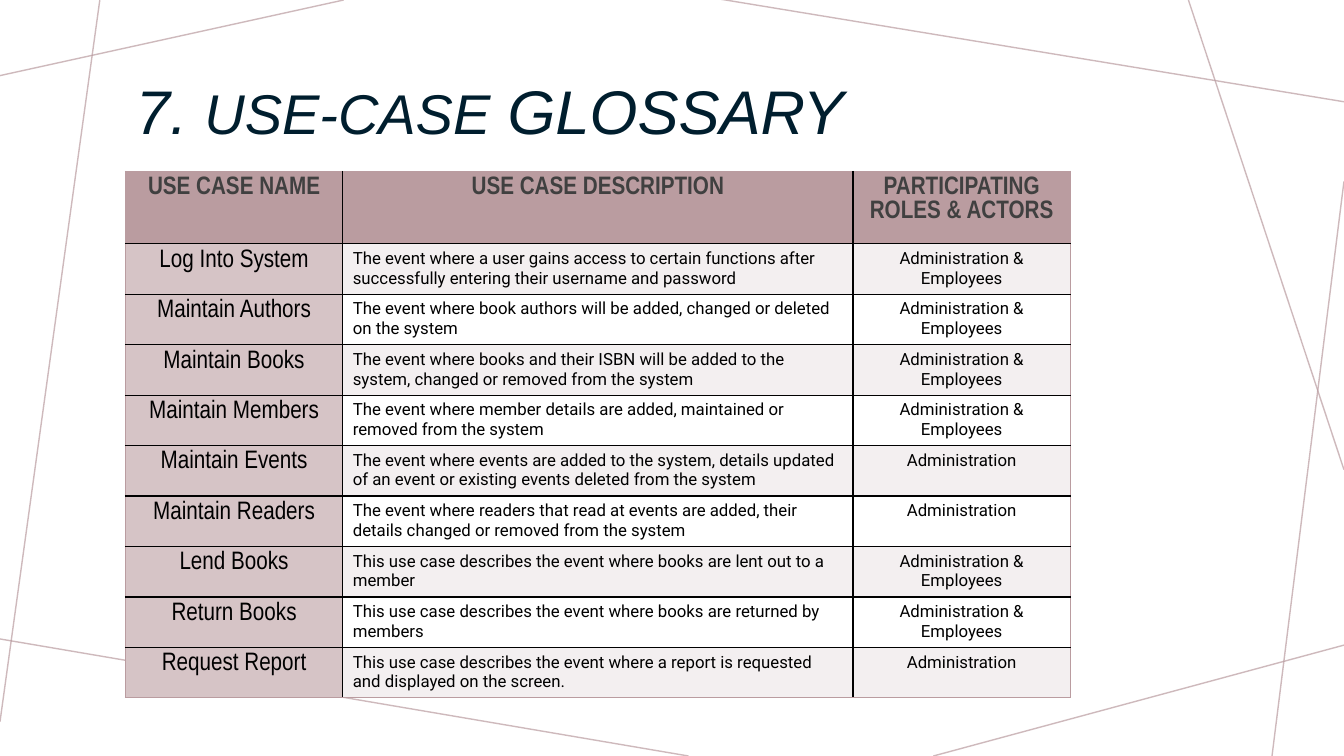
from dataclasses import dataclass

from lxml import etree
from pptx import Presentation
from pptx.dml import color
from pptx.enum import shapes, text
from pptx.oxml import ns
from pptx.util import Pt


@dataclass(frozen=True)
class Theme:
    rose: str = "BA9CA0"
    rose_mid: str = "D6C4C6"
    rose_pale: str = "F3EFF0"
    white: str = "FFFFFF"
    black: str = "000000"
    heading: str = "404040"
    title: str = "001E2E"
    title_font: str = "Arial"
    name_font: str = "Arial Narrow"
    body_font: str = "Roboto"
    title_size: int = 44
    title_small_size: int = 40
    name_size: int = 18
    body_size: int = 12
    line_width: int = 1
    line_opacity: int = 70


THEME = Theme()

BACKGROUND_LINES = [
    (245.5, 0, 0, 54),
    (71.3, 0, 0, 515.5),
    (491.8, 540, -3.6, 455.8),
    (960, 460.8, 666.7, 540),
    (960, 129.6, 908.6, 540),
    (960, 335.5, 848.9, 0),
    (960, 72.7, 514.1, -0.7),
]

TITLE_RUNS = [
    ("7. ", THEME.title_size),
    ("USE-CASE", THEME.title_small_size),
    (" GLOSSARY", THEME.title_size),
]

HEADINGS = ("USE CASE NAME", "USE CASE DESCRIPTION", "PARTICIPATING ROLES & ACTORS")
EVERYONE = "Administration & Employees"
ADMINISTRATION = "Administration"
USE_CASES = [
    ("Log Into System",
     "The event where a user gains access to certain functions after successfully entering their username and password",
     EVERYONE),
    ("Maintain Authors",
     "The event where book authors will be added, changed or deleted on the system",
     EVERYONE),
    ("Maintain Books",
     "The event where books and their ISBN will be added to the system, changed or removed from the system",
     EVERYONE),
    ("Maintain Members",
     "The event where member details are added, maintained or removed from the system",
     "Administration &\nEmployees"),
    ("Maintain Events",
     "The event where events are added to the system, details updated of an event or existing events deleted from the system",
     ADMINISTRATION),
    ("Maintain Readers",
     "The event where readers that read at events are added, their details changed or removed from the system",
     ADMINISTRATION),
    ("Lend Books",
     "This use case describes the event where books are lent out to a member",
     EVERYONE),
    ("Return Books",
     "This use case describes the event where books are returned by members",
     EVERYONE),
    ("Request Report",
     "This use case describes the event where a report is requested and displayed on the screen.",
     ADMINISTRATION),
]

COLUMN_SHARES = (0.23, 0.54, 0.23)
HEADER_HEIGHT = 51.8
ROW_HEIGHT = 31.7


def rgb(value):
    return color.RGBColor.from_string(value)


def style_font(font, name, size, value, bold=False, italic=False):
    font.name = name
    font.size = Pt(size)
    font.color.rgb = rgb(value)
    font.bold = bold
    font.italic = italic


def add_background_lines(slide):
    for x1, y1, x2, y2 in BACKGROUND_LINES:
        line = slide.shapes.add_connector(
            shapes.MSO_CONNECTOR.STRAIGHT, Pt(x1), Pt(y1), Pt(x2), Pt(y2))
        line.line.width = Pt(THEME.line_width)
        line.line.color.rgb = rgb(THEME.rose)
        properties = line._element.spPr
        fill_color = properties.find(".//" + ns.qn("a:srgbClr"))
        etree.SubElement(fill_color, ns.qn("a:alpha"), val=str(THEME.line_opacity * 1000))
        etree.SubElement(properties, ns.qn("a:effectLst"))


def add_title(slide, left, top, width, height):
    box = slide.shapes.add_textbox(Pt(left), Pt(top), Pt(width), Pt(height))
    frame = box.text_frame
    frame.word_wrap = True
    frame.vertical_anchor = text.MSO_ANCHOR.MIDDLE
    paragraph = frame.paragraphs[0]
    paragraph.line_spacing = 0.9
    for words, size in TITLE_RUNS:
        run = paragraph.add_run()
        run.text = words
        style_font(run.font, THEME.title_font, size, THEME.title, italic=True)


def set_borders(cell, at_edges):
    properties = cell._tc.get_or_add_tcPr()
    for side, at_edge in zip("LRTB", at_edges):
        border = etree.SubElement(
            properties, ns.qn(f"a:ln{side}"), w=str(Pt(THEME.line_width)))
        fill = etree.SubElement(border, ns.qn("a:solidFill"))
        etree.SubElement(
            fill, ns.qn("a:srgbClr"), val=THEME.rose if at_edge else THEME.black)


def cell_fill(row, column):
    if row == 0:
        return THEME.rose
    if column == 0:
        return THEME.rose_mid
    return THEME.rose_pale if row % 2 else THEME.white


def style_cell(cell, row, column):
    cell.fill.solid()
    cell.fill.fore_color.rgb = rgb(cell_fill(row, column))
    is_header = row == 0
    is_name = is_header or column == 0
    for paragraph in cell.text_frame.paragraphs:
        is_description = column == 1 and not is_header
        paragraph.alignment = text.PP_ALIGN.LEFT if is_description else text.PP_ALIGN.CENTER
        for run in paragraph.runs:
            style_font(
                run.font,
                THEME.name_font if is_name else THEME.body_font,
                THEME.name_size if is_name else THEME.body_size,
                THEME.heading if is_header else THEME.black,
                bold=is_header)


def add_glossary_table(slide, left, top, width):
    rows = [HEADINGS, *USE_CASES]
    last_row, last_column = len(rows) - 1, len(HEADINGS) - 1
    height = HEADER_HEIGHT + ROW_HEIGHT * last_row
    table = slide.shapes.add_table(
        len(rows), len(HEADINGS), Pt(left), Pt(top), Pt(width), Pt(height)).table
    table.horz_banding = False
    for column, share in zip(table.columns, COLUMN_SHARES):
        column.width = Pt(width * share)
    for row, words in enumerate(rows):
        table.rows[row].height = Pt(ROW_HEIGHT if row else HEADER_HEIGHT)
        for column, content in enumerate(words):
            cell = table.cell(row, column)
            cell.text_frame.text = content
            set_borders(
                cell, (column == 0, column == last_column, row == 0, row == last_row))
            style_cell(cell, row, column)


def main():
    presentation = Presentation()
    presentation.slide_width = Pt(960)
    presentation.slide_height = Pt(540)
    slide = presentation.slides.add_slide(presentation.slide_layouts[6])
    slide.background.fill.solid()
    slide.background.fill.fore_color.rgb = rgb(THEME.white)
    add_background_lines(slide)
    add_title(slide, 90, 41.8, 780, 80.6)
    add_glossary_table(slide, 89.6, 122.4, 675)
    presentation.save("out.pptx")


if __name__ == "__main__":
    main()
